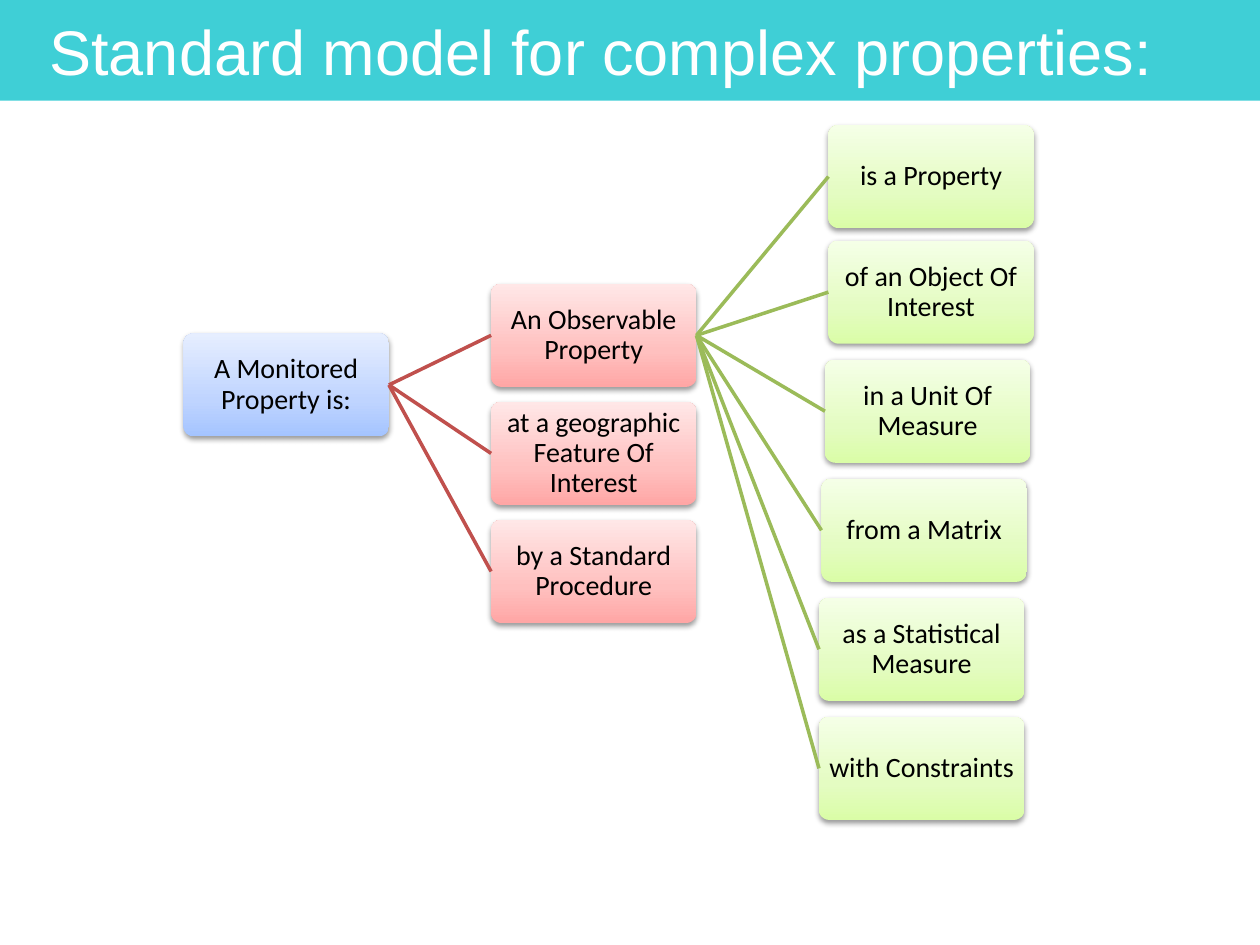
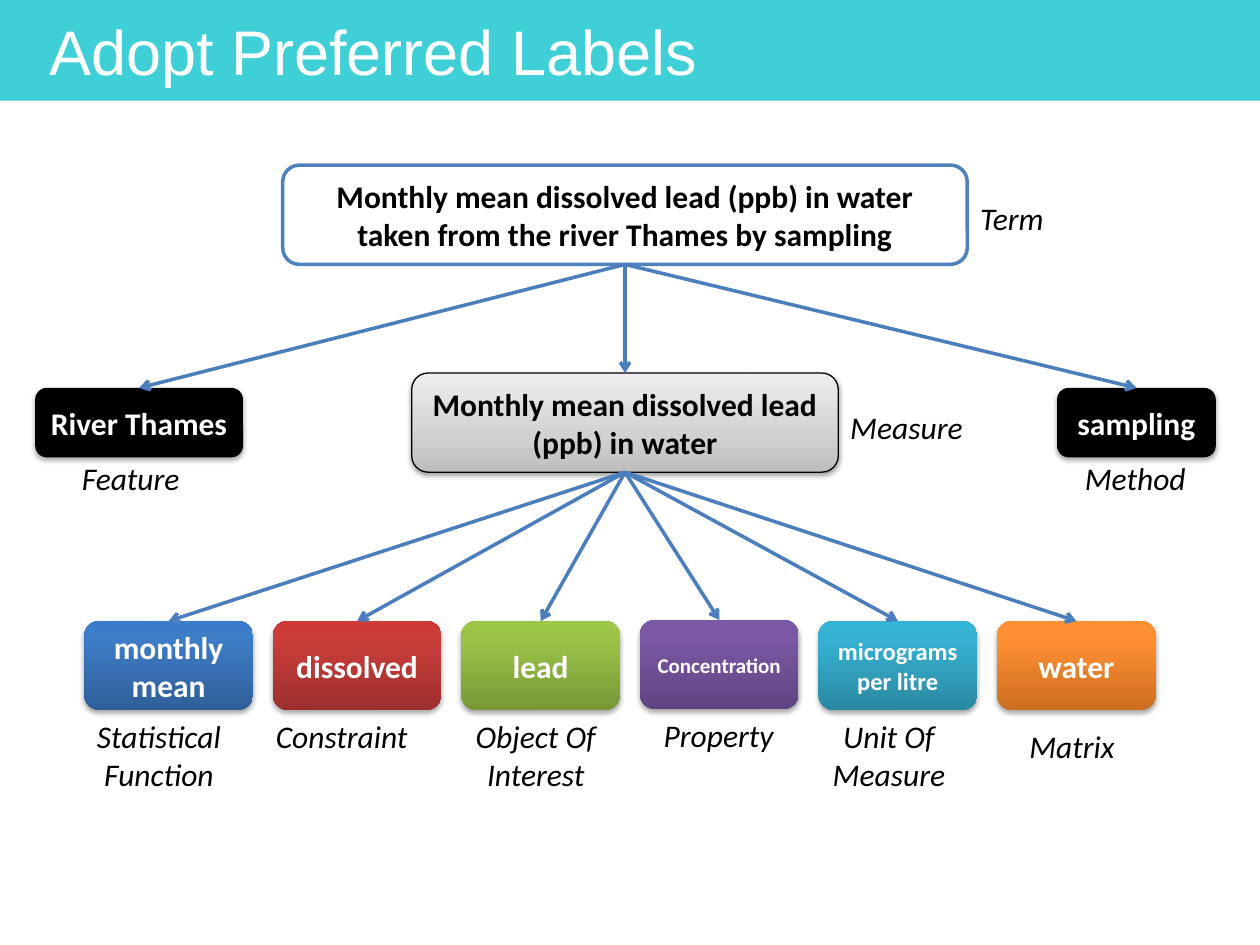
"""Build two slides on modelling complex properties and labelling them."""
from copy import deepcopy

from lxml.etree import SubElement
from pptx import Presentation
from pptx.dml.color import RGBColor
from pptx.enum.shapes import MSO_CONNECTOR, MSO_SHAPE
from pptx.enum.text import MSO_ANCHOR, MSO_AUTO_SIZE, PP_ALIGN
from pptx.oxml.ns import qn
from pptx.util import Cm, Pt

TURQUOISE = RGBColor(0x3F, 0xCF, 0xD6)
WHITE = RGBColor(0xFF, 0xFF, 0xFF)
BLACK = RGBColor(0x00, 0x00, 0x00)
RED_LINE = RGBColor(0xC0, 0x50, 0x4D)
GREEN_LINE = RGBColor(0x9B, 0xBB, 0x59)
ARROW_BLUE = RGBColor(0x4B, 0x7E, 0xBC)
OUTLINE_BLUE = RGBColor(0x4F, 0x81, 0xBD)

PALE_STOPS = (0, 0.35, 1)
STRONG_STOPS = (0, 0.8, 1)
PALE_BLUE = [RGBColor(0xA4, 0xC4, 0xFF), RGBColor(0xBF, 0xD4, 0xFF), RGBColor(0xE6, 0xEE, 0xFF)]
PALE_RED = [RGBColor(0xFF, 0xA6, 0xA5), RGBColor(0xFF, 0xC0, 0xBF), RGBColor(0xFF, 0xE7, 0xE7)]
PALE_GREEN = [RGBColor(0xDA, 0xFD, 0xA7), RGBColor(0xE4, 0xFC, 0xC2), RGBColor(0xF5, 0xFF, 0xE7)]
PALE_GREY = [RGBColor(0xBD, 0xBD, 0xBD), RGBColor(0xD1, 0xD1, 0xD1), RGBColor(0xEE, 0xEE, 0xEE)]
BLUE = [RGBColor(0x2F, 0x5F, 0x99), RGBColor(0x3D, 0x7C, 0xC7), RGBColor(0x3A, 0x7C, 0xCB)]
RED = [RGBColor(0x9C, 0x2F, 0x2D), RGBColor(0xCB, 0x3E, 0x3A), RGBColor(0xCE, 0x3B, 0x37)]
GREEN = [RGBColor(0x77, 0x97, 0x37), RGBColor(0x9B, 0xC3, 0x48), RGBColor(0x9D, 0xC7, 0x46)]
PURPLE = [RGBColor(0x5F, 0x44, 0x80), RGBColor(0x7B, 0x58, 0xA6), RGBColor(0x7C, 0x57, 0xA8)]
AQUA = [RGBColor(0x2A, 0x88, 0xA2), RGBColor(0x37, 0xB1, 0xD2), RGBColor(0x34, 0xB4, 0xD6)]
ORANGE = [RGBColor(0xCC, 0x6E, 0x20), RGBColor(0xFF, 0x90, 0x34), RGBColor(0xFF, 0x91, 0x36)]

PALE_SHADOW = (38, 1.6)
STRONG_SHADOW = (35, 1.8)


def add_box(page, place, text, fill, color, size=18, bold=True, stops=STRONG_STOPS,
            shadow=STRONG_SHADOW, outline=None):
    box = page.shapes.add_shape(MSO_SHAPE.ROUNDED_RECTANGLE, *[Cm(length) for length in place])
    if isinstance(fill, RGBColor):
        box.fill.solid()
        box.fill.fore_color.rgb = fill
    else:
        box.fill.gradient()
        box.fill.gradient_angle = 90
        stop_list = next(box._element.spPr.iter(qn("a:gsLst")))
        stop_list.insert(1, deepcopy(stop_list[0]))
        for stop, position, shade in zip(box.fill.gradient_stops, stops, fill):
            stop.position = position
            stop.color.rgb = shade
    if outline:
        box.line.color.rgb, box.line.width = outline
    else:
        box.line.fill.background()
    box.shadow.inherit = False
    if shadow:
        opacity, distance = shadow
        effects = box._element.spPr.find(qn("a:effectLst"))
        outer = SubElement(effects, qn("a:outerShdw"), blurRad=str(Pt(3.1)),
                           dist=str(Pt(distance)), dir="5400000", rotWithShape="0")
        tone = SubElement(outer, qn("a:srgbClr"), val=str(BLACK))
        SubElement(tone, qn("a:alpha"), val=str(opacity * 1000))
    frame = box.text_frame
    frame.word_wrap = True
    frame.vertical_anchor = MSO_ANCHOR.MIDDLE
    frame.text = text
    for para in frame.paragraphs:
        para.alignment = PP_ALIGN.CENTER
        font = para.runs[0].font
        font.name, font.size, font.bold = "Calibri", Pt(size), bold
        font.color.rgb = color
    return box


def join_boxes(page, parent, parent_side, child, child_side, color, arrow=False):
    line = page.shapes.add_connector(MSO_CONNECTOR.STRAIGHT, 0, 0, 0, 0)
    line.begin_connect(parent, parent_side)
    line.end_connect(child, child_side)
    line.line.color.rgb = color
    line.line.width = Pt(2)
    if arrow:
        SubElement(line.line._get_or_add_ln(), qn("a:tailEnd"), type="arrow")
    SubElement(line._element.spPr, qn("a:effectLst"))


deck = Presentation()
deck.slide_width, deck.slide_height = Cm(25.4), Cm(19.05)

pages = []
for title in ("Standard model for complex properties:", "Adopt Preferred Labels"):
    page = deck.slides.add_slide(deck.slide_layouts[6])
    band = page.shapes.add_shape(MSO_SHAPE.RECTANGLE, 0, 0, deck.slide_width, Cm(2.03))
    band.shadow.inherit = False
    band.fill.solid()
    band.fill.fore_color.rgb = TURQUOISE
    band.line.fill.background()
    frame = band.text_frame
    frame.word_wrap = True
    frame.vertical_anchor = MSO_ANCHOR.MIDDLE
    frame.margin_left = frame.margin_right = Cm(1)
    frame.margin_top = frame.margin_bottom = 0
    frame.text = title
    para = frame.paragraphs[0]
    para.alignment = PP_ALIGN.LEFT
    span = para.runs[0]
    span.font.name, span.font.size = "Arial", Pt(36)
    span.font.color.rgb = WHITE
    pages.append(page)
model_page, label_page = pages

model_nodes = [
    ("A Monitored Property is:", 3.7, 6.72, PALE_BLUE, None, None),
    ("An Observable Property", 9.9, 5.72, PALE_RED, 0, RED_LINE),
    ("at a geographic Feature Of Interest", 9.9, 8.1, PALE_RED, 0, RED_LINE),
    ("by a Standard Procedure", 9.9, 10.48, PALE_RED, 0, RED_LINE),
    ("is a Property", 16.7, 2.52, PALE_GREEN, 1, GREEN_LINE),
    ("of an Object Of Interest", 16.7, 4.85, PALE_GREEN, 1, GREEN_LINE),
    ("in a Unit Of Measure", 16.63, 7.25, PALE_GREEN, 1, GREEN_LINE),
    ("from a Matrix", 16.56, 9.65, PALE_GREEN, 1, GREEN_LINE),
    ("as a Statistical Measure", 16.51, 12.05, PALE_GREEN, 1, GREEN_LINE),
    ("with Constraints", 16.51, 14.45, PALE_GREEN, 1, GREEN_LINE),
]
model_boxes = []
for text, left, top, fill, parent, color in model_nodes:
    box = add_box(model_page, (left, top, 4.14, 2.08), text, fill, BLACK, size=16,
                  bold=False, stops=PALE_STOPS, shadow=PALE_SHADOW)
    box.adjustments[0] = 0.1
    frame = box.text_frame
    frame.margin_left = frame.margin_right = Cm(0.03)
    frame.margin_top = frame.margin_bottom = Cm(0.03)
    frame.paragraphs[0].line_spacing = 0.9
    model_boxes.append(box)
    if color:
        join_boxes(model_page, model_boxes[parent], 3, box, 1, color)

term = add_box(label_page, (5.7, 3.33, 13.8, 2),
               "Monthly mean dissolved lead (ppb) in water taken from the river Thames by sampling",
               WHITE, BLACK, shadow=None, outline=(OUTLINE_BLUE, Pt(2)))
measure = add_box(label_page, (8.3, 7.52, 8.6, 2),
                  "Monthly mean dissolved lead (ppb) in water", PALE_GREY, BLACK,
                  stops=PALE_STOPS, shadow=PALE_SHADOW, outline=(BLACK, Pt(0.75)))
feature = add_box(label_page, (0.71, 7.82, 4.19, 1.4), "River Thames", BLACK, WHITE)
feature.text_frame.margin_left = feature.text_frame.margin_right = Cm(0.1)
method = add_box(label_page, (21.31, 7.82, 3.2, 1.4), "sampling", BLACK, WHITE)
for child in (feature, measure, method):
    join_boxes(label_page, term, 2, child, 0, ARROW_BLUE, arrow=True)

measure_parts = [
    ("monthly\nmean", 3.4, 12.52, BLUE, 18),
    ("dissolved", 3.4, 12.52, RED, 18),
    ("lead", 3.2, 12.52, GREEN, 18),
    ("Concentration", 3.2, 12.5, PURPLE, 12),
    ("micrograms per litre", 3.2, 12.52, AQUA, 14),
    ("water", 3.2, 12.52, ORANGE, 18),
]
left = 1.7
for text, width, top, fill, size in measure_parts:
    part = add_box(label_page, (left, top, width, 1.8), text, fill, WHITE, size=size)
    join_boxes(label_page, measure, 2, part, 0, ARROW_BLUE, arrow=True)
    left += width + 0.4

role_labels = [
    ("Term", 19.51, 3.89, 3.61, True),
    ("Measure", 16.89, 8.1, 3.61, True),
    ("Feature", 1.4, 9.12, 2.51, False),
    ("Method", 21.62, 9.12, 2.57, False),
    ("Statistical\nFunction", 1.68, 14.33, 3.05, False),
    ("Constraint", 5.31, 14.33, 3.2, False),
    ("Object Of\nInterest", 9.3, 14.33, 3, False),
    ("Property", 13.13, 14.3, 2.77, False),
    ("Unit Of\nMeasure", 16.51, 14.33, 2.82, False),
    ("Matrix", 20.5, 14.53, 2.24, False),
]
for text, left, top, width, wrap in role_labels:
    two_lines = "\n" in text
    label = label_page.shapes.add_textbox(Cm(left), Cm(top), Cm(width),
                                          Cm(1.8 if two_lines else 1.02))
    frame = label.text_frame
    frame.word_wrap = wrap
    frame.auto_size = MSO_AUTO_SIZE.SHAPE_TO_FIT_TEXT
    frame.text = text
    for para in frame.paragraphs:
        para.alignment = PP_ALIGN.CENTER if two_lines else PP_ALIGN.LEFT
        font = para.runs[0].font
        font.name, font.size, font.italic = "Calibri", Pt(18), True
        font.color.rgb = BLACK

deck.save("out.pptx")
